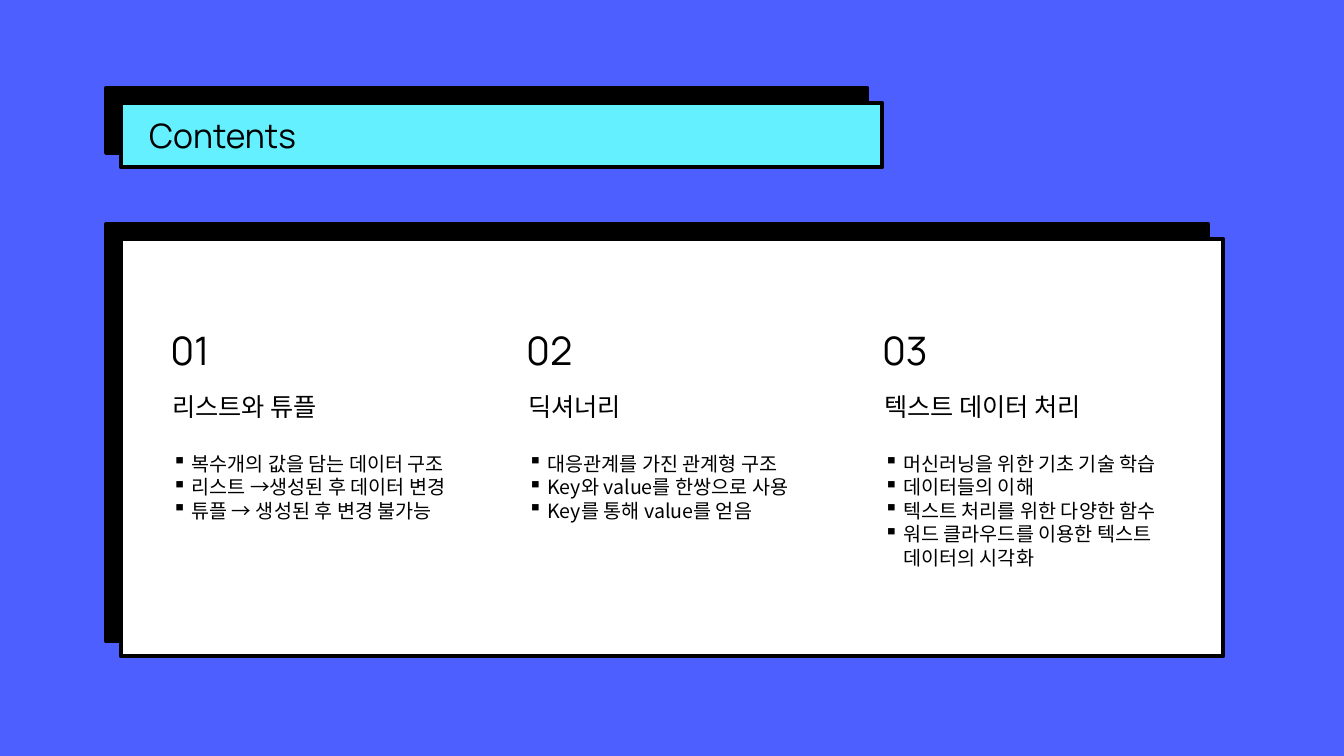
from lxml.etree import SubElement
from pptx import Presentation
from pptx.dml.color import RGBColor
from pptx.enum.shapes import MSO_SHAPE
from pptx.enum.text import MSO_ANCHOR, MSO_AUTO_SIZE, PP_ALIGN
from pptx.oxml.ns import qn
from pptx.util import Inches, Pt

BLUE = RGBColor(0x4D, 0x5F, 0xFF)
CYAN = RGBColor(0x64, 0xF0, 0xFF)
WHITE = RGBColor(0xFF, 0xFF, 0xFF)
BLACK = RGBColor(0, 0, 0)
LATIN = "Manrope"
KOREAN = "Noto Sans CJK KR"

SECTIONS = [
    ("리스트와 튜플", [
        "복수개의 값을 담는 데이터 구조",
        "리스트 →생성된 후 데이터 변경",
        "튜플 → 생성된 후 변경 불가능",
    ]),
    ("딕셔너리", [
        "대응관계를 가진 관계형 구조",
        "Key와 value를 한쌍으로 사용",
        "Key를 통해 value를 얻음",
    ]),
    ("텍스트 데이터 처리", [
        "머신러닝을 위한 기초 기술 학습",
        "데이터들의 이해",
        "텍스트 처리를 위한 다양한 함수",
        "워드 클라우드를 이용한 텍스트 데이터의 시각화",
    ]),
]


class ContentsSlide:
    def __init__(self, deck):
        self.deck = deck
        self.slide = deck.slides.add_slide(deck.slide_layouts[6])
        self.slide.background.fill.solid()
        self.slide.background.fill.fore_color.rgb = BLUE

    def place(self, left, top, width, height):
        across, down = self.deck.slide_width / 100, self.deck.slide_height / 100
        return [round(share * unit) for share, unit in
                zip((left, top, width, height), (across, down, across, down))]

    def panel(self, area, color):
        panel = self.slide.shapes.add_shape(MSO_SHAPE.RECTANGLE, *self.place(*area))
        panel.fill.solid()
        panel.fill.fore_color.rgb = color
        panel.line.color.rgb = BLACK
        panel.line.width = Pt(3)
        panel.shadow.inherit = False
        effects = panel.element.spPr.find(qn("a:effectLst"))
        shadow = SubElement(effects, qn("a:outerShdw"), blurRad="0", dist=str(Pt(15)),
                            dir=str(225 * 60000), algn="br", rotWithShape="0")
        SubElement(shadow, qn("a:srgbClr"), val=str(BLACK))
        return panel

    def fill_text(self, frame, lines, size, font, bulleted=False, **frame_format):
        for name, value in {"word_wrap": True, **frame_format}.items():
            setattr(frame, name, value)
        for number, line in enumerate(lines):
            paragraph = frame.add_paragraph() if number else frame.paragraphs[0]
            paragraph.alignment = PP_ALIGN.LEFT
            run = paragraph.add_run()
            run.text = line
            for name, value in {"size": Pt(size), "name": font}.items():
                setattr(run.font, name, value)
            run.font.color.rgb = BLACK
            SubElement(run.font._element, qn("a:ea"), typeface=font)
            if bulleted:
                properties = paragraph._p.get_or_add_pPr()
                indent = Inches(0.19)
                properties.set("marL", str(indent))
                properties.set("indent", str(-indent))
                SubElement(properties, qn("a:buChar"), char="▪")

    def text(self, area, lines, size, font, bulleted=False):
        box = self.slide.shapes.add_textbox(*self.place(*area))
        self.fill_text(box.text_frame, lines, size, font, bulleted,
                       auto_size=MSO_AUTO_SIZE.SHAPE_TO_FIT_TEXT)

    def title(self, area, words):
        banner = self.panel(area, CYAN)
        self.fill_text(banner.text_frame, [words], 24, LATIN,
                       vertical_anchor=MSO_ANCHOR.MIDDLE,
                       margin_left=Inches(0.28), margin_right=Inches(0.28))

    def section(self, index, heading, points):
        left = 12.08 + 26.48 * index
        self.text((left, 59.07, 24.53, 1.4 + 3.13 * len(points)), points, 14, KOREAN, True)
        self.text((left, 51.07, 24.53, 5.33), [heading], 18, KOREAN)
        self.text((left - 0.15, 42.53, 21.08, 7.6), [f"{index + 1:02}"], 28, LATIN)


def main():
    deck = Presentation()
    deck.slide_width, deck.slide_height = Inches(13.33), Inches(7.5)
    contents = ContentsSlide(deck)
    contents.panel((9, 31.6, 82, 55.2), WHITE)
    for index, (heading, points) in enumerate(SECTIONS):
        contents.section(index, heading, points)
    contents.title((9, 13.6, 56.64, 8.53), "Contents")
    deck.save("out.pptx")


if __name__ == "__main__":
    main()
